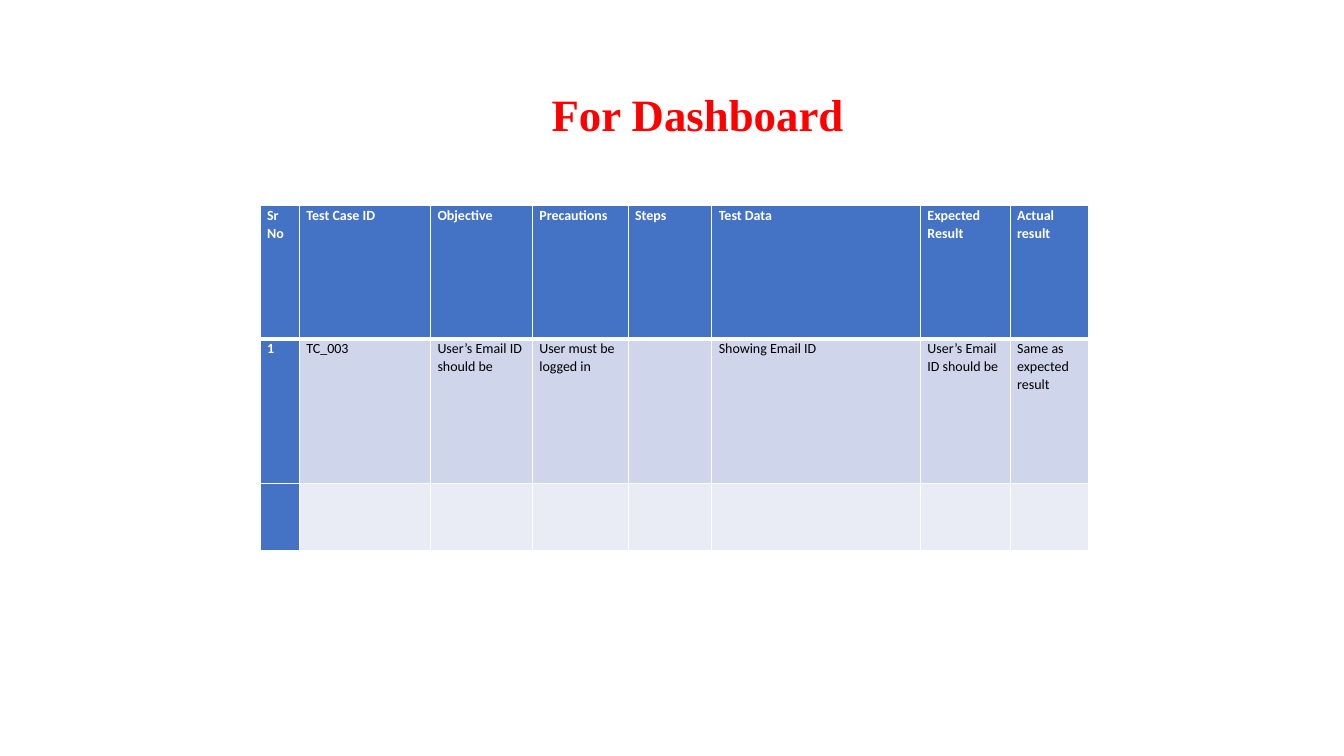
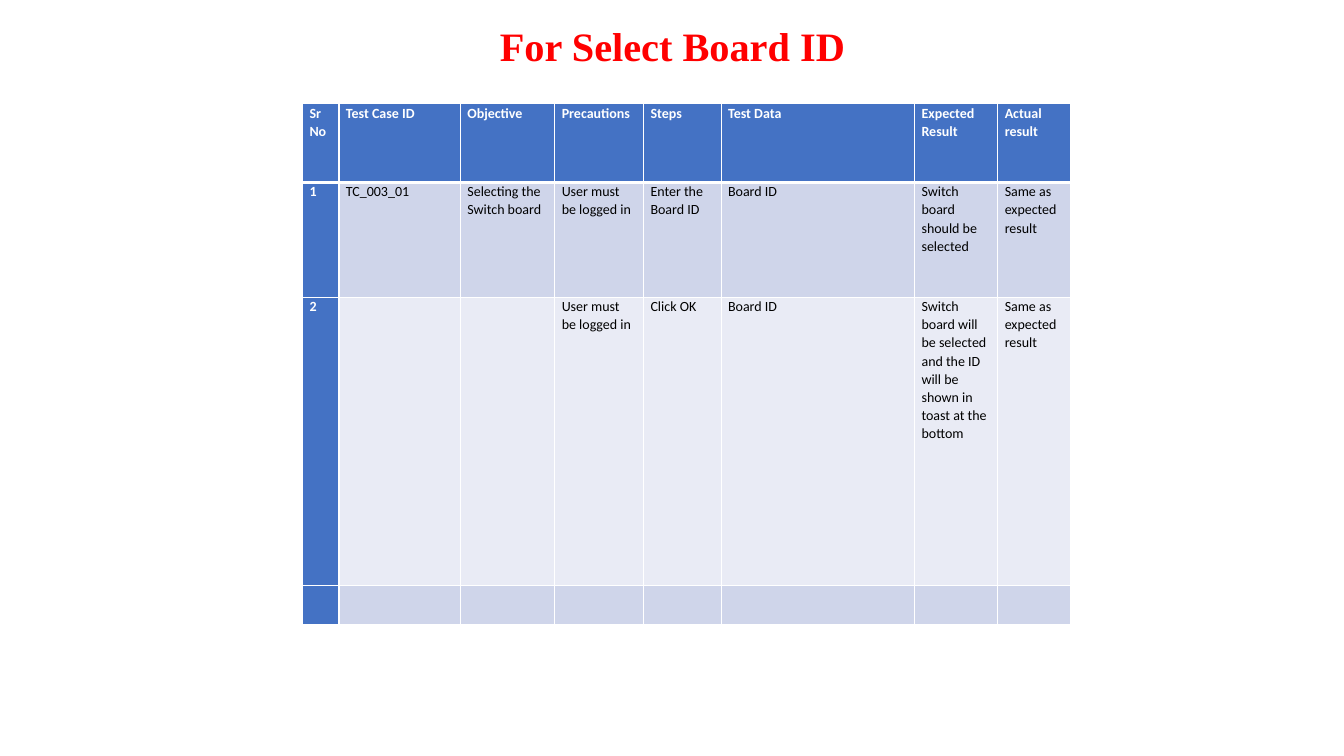
from lxml.etree import SubElement as Sub
from pptx import Presentation
from pptx.dml.color import RGBColor as Rgb
from pptx.enum.text import MSO_ANCHOR as Anchor, PP_ALIGN as Align
from pptx.oxml.ns import qn
from pptx.util import Inches, Pt

HUES = {
    "title": "FF0000",
    "head": "4472C4",
    "odd": "CFD5EA",
    "even": "E9EBF5",
    "light": "FFFFFF",
    "dark": "000000",
}
HEADS = ["Sr No", "Test Case ID", "Objective", "Precautions", "Steps",
         "Test Data", "Expected Result", "Actual result"]
COLS = [0.39, 1.3, 1.01, 0.95, 0.83, 2.07, 0.89, 0.78]
BLANK = [""] * len(HEADS)
LOGIN = "User must be logged in"
SAME = "Same as expected result"
EMAIL = "User’s Email ID should be"

SLIDES = [
    {
        "title": "For Dashboard",
        "size": 32,
        "title_box": (1.17, 0.4, 11.5, 1.45),
        "table_box": (2.58, 2.04, 8.22, 3.42),
        "heights": [1.32, 1.44, 0.66],
        "rows": [
            ["1", "TC_003", EMAIL, LOGIN, "", "Showing Email ID", EMAIL, SAME],
            BLANK,
        ],
    },
    {
        "title": "For Select Board ID",
        "size": 28.8,
        "title_box": (0.92, 0.14, 11.5, 0.63),
        "table_box": (3, 1.03, 7.62, 5.17),
        "heights": [0.78, 1.14, 2.86, 0.39],
        "rows": [
            ["1", "TC_003_01", "Selecting the Switch board", LOGIN,
             "Enter the Board ID", "Board ID",
             "Switch board should be selected", SAME],
            ["2", "", "", LOGIN, "Click OK", "Board ID",
             "Switch board will be selected and the ID will be shown in "
             "toast at the bottom", SAME],
            BLANK,
        ],
    },
]


def hue(name):
    return Rgb.from_string(HUES[name])


def set_font(para, name, size, color, bold):
    font = para.font
    font.name = name
    font.size = Pt(size)
    font.bold = bold
    font.color.rgb = hue(color)


def add_title(slide, box, text, size):
    frame = slide.shapes.add_textbox(*map(Inches, box)).text_frame
    frame.word_wrap = True
    frame.vertical_anchor = Anchor.MIDDLE
    para = frame.paragraphs[0]
    para.text = text
    para.alignment = Align.CENTER
    set_font(para, "Times New Roman", size, "title", True)


def set_edges(cell, top, bottom):
    props = cell._tc.get_or_add_tcPr()
    for side, width in (("L", 1), ("R", 1), ("T", top), ("B", bottom)):
        line = Sub(props, qn(f"a:ln{side}"), w=str(Pt(width)))
        fill = Sub(line, qn("a:solidFill"))
        Sub(fill, qn("a:srgbClr"), val=HUES["light"])


def fill_cell(cell, text, row, col):
    head = row == 0 or col == 0
    set_edges(cell, 3 if row == 1 else 1, 3 if row == 0 else 1)
    cell.margin_left = cell.margin_right = Inches(0.07)
    cell.margin_top = cell.margin_bottom = 0
    cell.fill.solid()
    band = "odd" if row % 2 else "even"
    cell.fill.fore_color.rgb = hue("head" if head else band)
    para = cell.text_frame.paragraphs[0]
    if text:
        para.text = text
    para.line_spacing = 1.07
    set_font(para, "Calibri", 10, "light" if head else "dark", head)


def add_cases(slide, box, heights, rows):
    data = [HEADS] + rows
    table = slide.shapes.add_table(
        len(data), len(HEADS), *map(Inches, box)).table
    scale = box[2] / sum(COLS)
    for col, width in zip(table.columns, COLS):
        col.width = Inches(width * scale)
    for row, height in zip(table.rows, heights):
        row.height = Inches(height)
    for r, texts in enumerate(data):
        for c, text in enumerate(texts):
            fill_cell(table.cell(r, c), text, r, c)


def add_page(deck, page):
    slide = deck.slides.add_slide(deck.slide_layouts[6])
    add_title(slide, page["title_box"], page["title"], page["size"])
    add_cases(slide, page["table_box"], page["heights"], page["rows"])


def main():
    deck = Presentation()
    deck.slide_width = Inches(13.33)
    deck.slide_height = Inches(7.5)
    for page in SLIDES:
        add_page(deck, page)
    deck.save("out.pptx")


if __name__ == "__main__":
    main()
